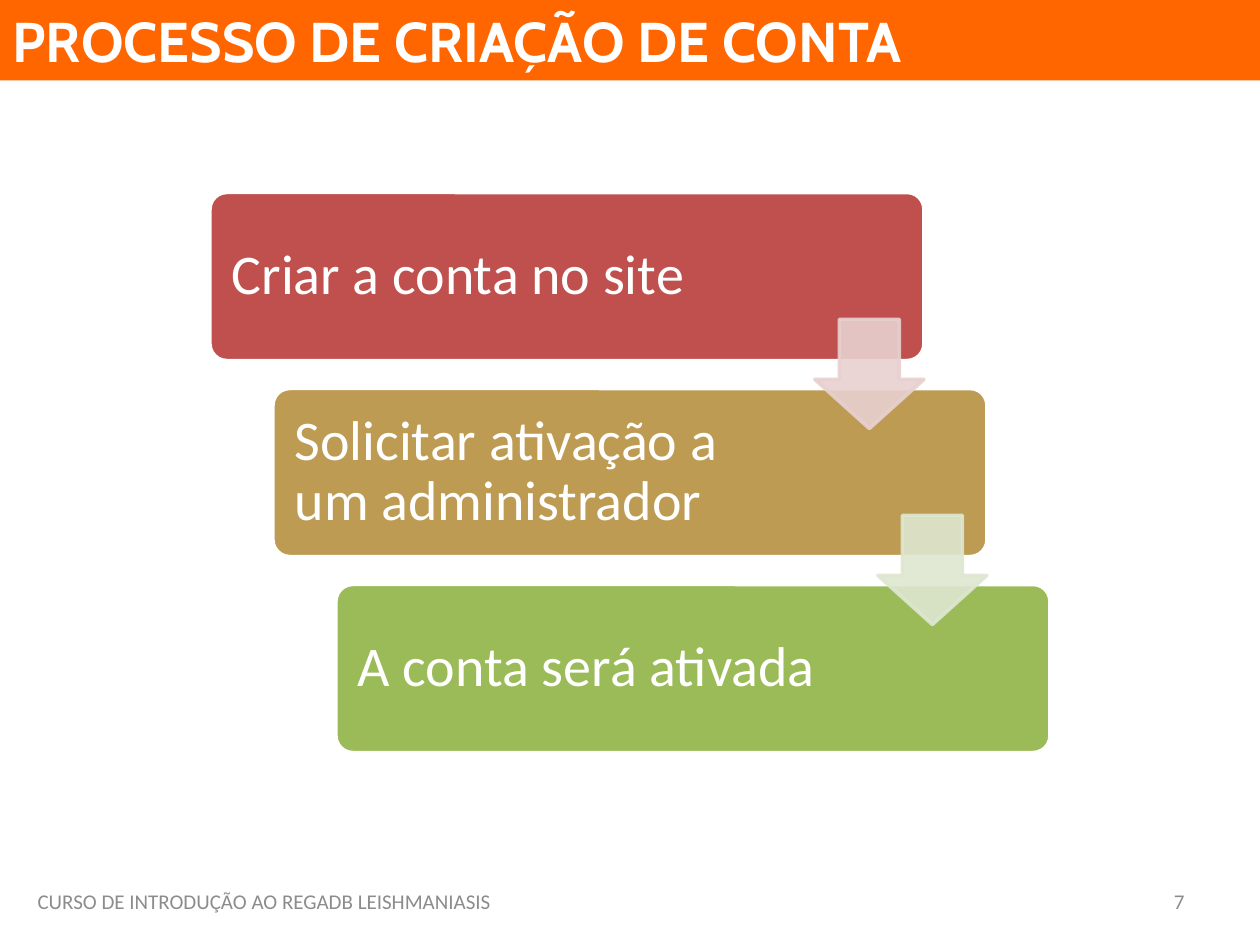
from lxml import etree
from pptx import Presentation
from pptx.dml.color import RGBColor
from pptx.enum import shapes, text
from pptx.oxml import ns
from pptx.util import Pt

WHITE = "FFFFFF"
GREY = "8C8C8C"
STEPS = [
    ("Criar a conta no site", "C0504D"),
    ("Solicitar ativação a um administrador", "BD9B53"),
    ("A conta será ativada", "9BBB59"),
]
ARROW_COLORS = ["E8D0D0", "DEE7D1"]


def rgb(value):
    """Return the colour for a hex string."""
    return RGBColor.from_string(value)


def write(holder, wording, size=12, font="Calibri", color=WHITE, bold=False,
          align=text.PP_ALIGN.LEFT, anchor=text.MSO_ANCHOR.MIDDLE,
          inset=(7.2, 3.6), spacing=1.0):
    """Put one formatted paragraph in a shape."""
    frame = holder.text_frame
    frame.word_wrap = True
    frame.auto_size = text.MSO_AUTO_SIZE.NONE
    frame.vertical_anchor = anchor
    frame.margin_left = frame.margin_right = Pt(inset[0])
    frame.margin_top = frame.margin_bottom = Pt(inset[1])
    paragraph = frame.paragraphs[0]
    paragraph.alignment = align
    paragraph.line_spacing = spacing
    run = paragraph.add_run()
    run.text = wording
    run.font.size = Pt(size)
    run.font.name = font
    run.font.bold = bold
    run.font.color.rgb = rgb(color)


def add_label(slide, box, wording, **style):
    """Add a text box with one formatted paragraph."""
    write(slide.shapes.add_textbox(*map(Pt, box)), wording, **style)


def add_figure(slide, preset, box, adjustments, fill, line, opacity=100):
    """Add a filled, outlined preset shape."""
    figure = slide.shapes.add_shape(preset, *map(Pt, box))
    figure.shadow.inherit = False
    for index, value in enumerate(adjustments):
        figure.adjustments[index] = value
    figure.fill.solid()
    figure.fill.fore_color.rgb = rgb(fill)
    figure.line.color.rgb = rgb(line)
    figure.line.width = Pt(2)
    if opacity < 100:
        for color in figure.element.spPr.iter(ns.qn("a:srgbClr")):
            etree.SubElement(color, ns.qn("a:alpha"), val=str(opacity * 1000))


def add_heading(slide, box):
    """Turn the title placeholder into the orange banner."""
    heading = slide.shapes.title
    heading.left, heading.top, heading.width, heading.height = map(Pt, box)
    heading.fill.solid()
    heading.fill.fore_color.rgb = rgb("FF6600")
    write(heading, "PROCESSO DE CRIAÇÃO DE CONTA", size=32, font="Cabin",
          bold=True, anchor=text.MSO_ANCHOR.TOP)


def add_process(slide, box):
    """Draw the staircase of steps, joined by down arrows."""
    left, top, width, height = box
    card_width, card_height = width * 0.85, height * 0.3
    step_x = (width - card_width) / (len(STEPS) - 1)
    step_y = (height - card_height) / (len(STEPS) - 1)
    corners = [(left + i * step_x, top + i * step_y) for i in range(len(STEPS))]
    for (x, y), (wording, color) in zip(corners, STEPS):
        add_figure(slide, shapes.MSO_SHAPE.ROUNDED_RECTANGLE,
                   (x, y, card_width, card_height), [0.1], color, WHITE)
        add_label(slide, (x + 2.8, y + 2.8, 304, card_height - 5.6), wording,
                  size=32, inset=(9.6, 9.6), spacing=0.9)
    arrow = card_height * 0.65
    for (x, y), color in zip(corners, ARROW_COLORS):
        add_figure(slide, shapes.MSO_SHAPE.DOWN_ARROW,
                   (x + card_width - arrow, y + 72.5, arrow, arrow),
                   [0.55, 0.45], color, color, opacity=90)


def add_footer(slide, box):
    """Add the course name at the left and the page number at the right."""
    left, top, width, height = box
    add_label(slide, (left, top, 460, height),
              "CURSO DE INTRODUÇÃO AO REGADB LEISHMANIASIS", color=GREY)
    add_label(slide, (left + width - 168, top, 168, height), "7",
              color=GREY, align=text.PP_ALIGN.RIGHT)


def main():
    """Build and save the slide."""
    deck = Presentation()
    deck.slide_width, deck.slide_height = Pt(720), Pt(540)
    slide = deck.slides.add_slide(deck.slide_layouts[5])
    add_heading(slide, (0, 0, 720, 46))
    add_process(slide, (120, 110, 480, 320))
    add_footer(slide, (14.4, 500.4, 669.6, 28.8))
    deck.save("out.pptx")


if __name__ == "__main__":
    main()
